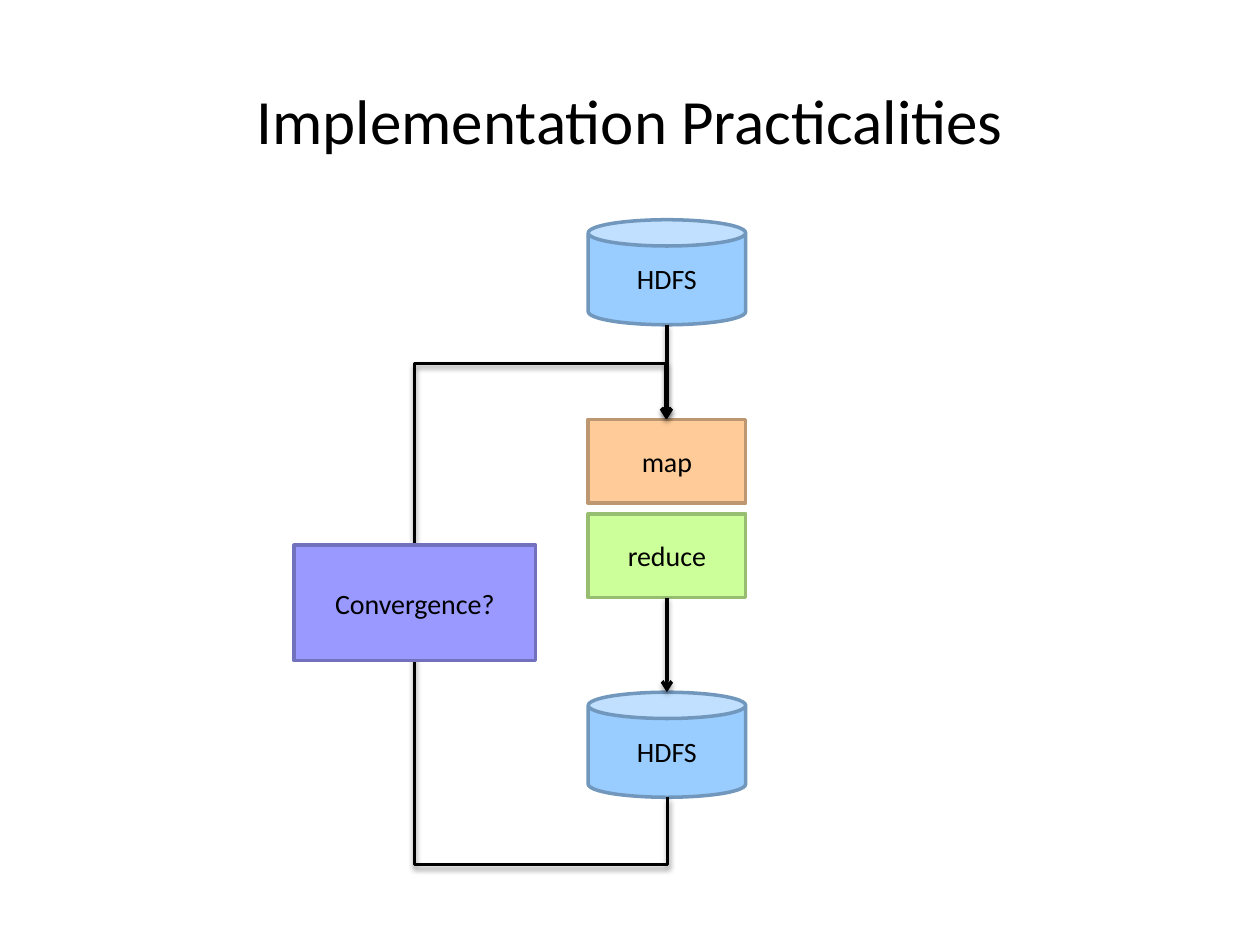
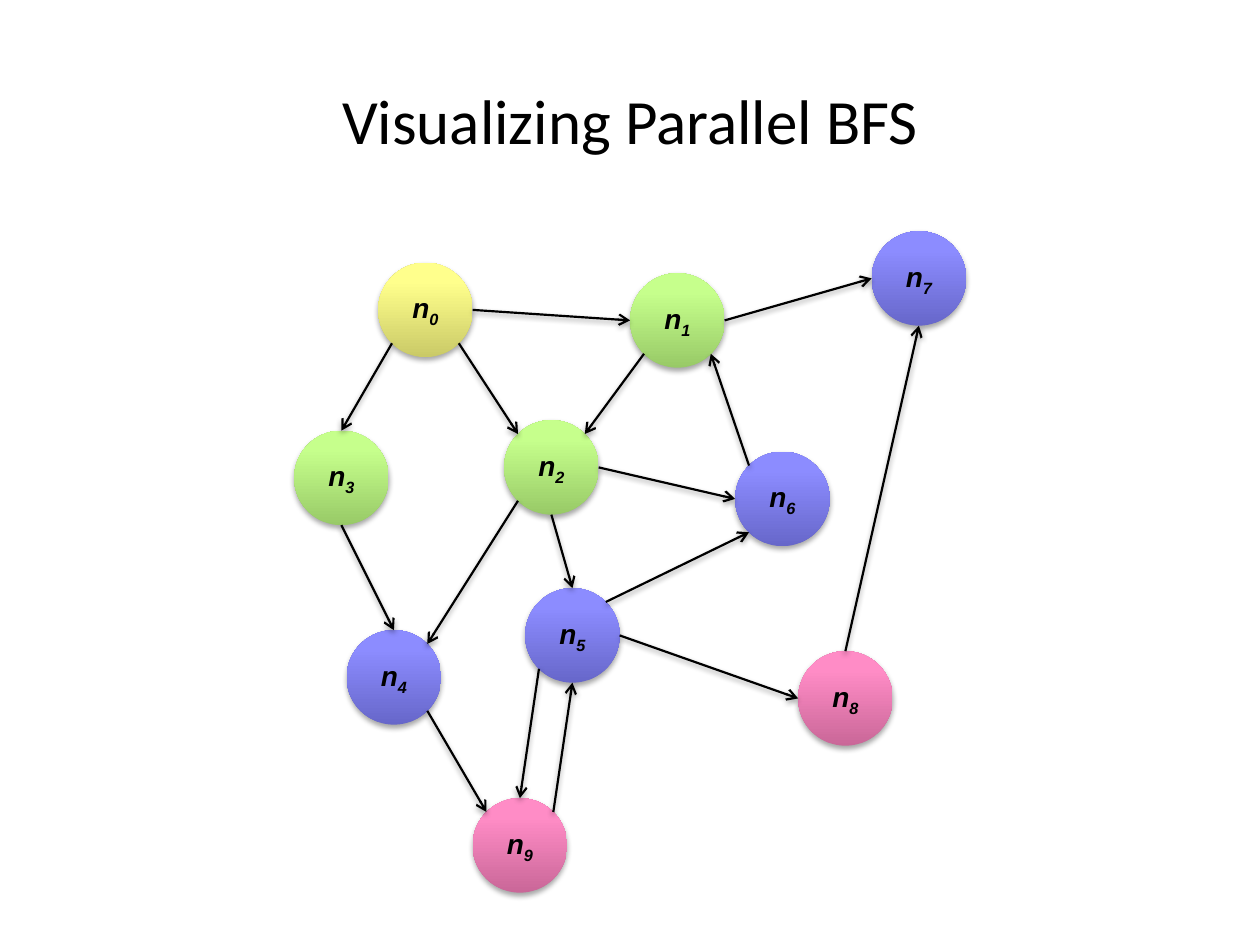
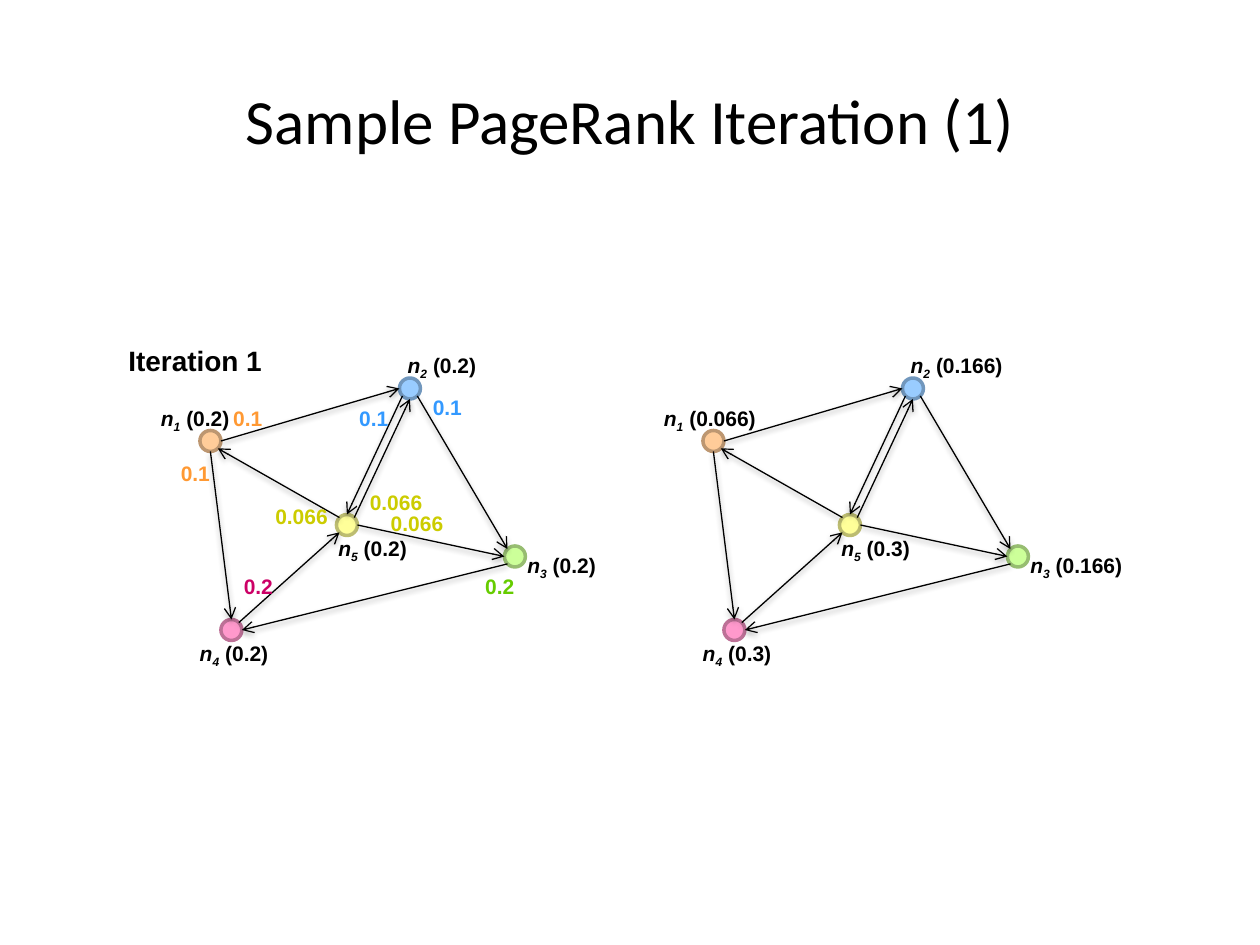
from lxml import etree
from pptx import Presentation
from pptx.dml.color import RGBColor
from pptx.enum.shapes import MSO_CONNECTOR, MSO_SHAPE
from pptx.enum.text import MSO_ANCHOR, MSO_AUTO_SIZE, PP_ALIGN
from pptx.oxml.ns import qn
from pptx.util import Cm, Pt

RECT, CAN, OVAL = MSO_SHAPE.RECTANGLE, MSO_SHAPE.CAN, MSO_SHAPE.OVAL
STRAIGHT, ELBOW = MSO_CONNECTOR.STRAIGHT, MSO_CONNECTOR.ELBOW
LEFT, CENTER = PP_ALIGN.LEFT, PP_ALIGN.CENTER
MIDDLE, GROW = MSO_ANCHOR.MIDDLE, MSO_AUTO_SIZE.SHAPE_TO_FIT_TEXT

GRID = 2.54 / 12
BLACK, BLUE, ORANGE, GREEN = "000000", "99CCFF", "FFCC99", "CCFF99"
PINK, YELLOW, VIOLET = "FF99CC", "FFFF99", "9999FF"
GRADIENTS = {
    YELLOW: ("CACA67", "FFFF8C"),
    GREEN: ("98CA67", "C6FF8C"),
    VIOLET: ("6767CA", "8C8CFF"),
    PINK: ("CA6798", "FF8CC6"),
}
TITLE = {"size": Pt(36), "name": "Calibri"}
BOX = {"size": Pt(16), "name": "Calibri"}
HEADING = {"size": Pt(16), "name": "Arial", "bold": True}
LABEL = {"size": Pt(12), "name": "Arial", "bold": True}
SITES = {
    "N": (0, -1), "S": (0, 1), "W": (-1, 0), "E": (1, 0),
    "NW": (-0.707, -0.707), "NE": (0.707, -0.707),
    "SW": (-0.707, 0.707), "SE": (0.707, 0.707),
}
BFS_NODES = [
    (8, 3, YELLOW), (32, 4, GREEN), (20, 18, GREEN), (0, 19, GREEN),
    (5, 38, VIOLET), (22, 34, VIOLET), (42, 21, VIOLET), (55, 0, VIOLET),
    (48, 40, PINK), (17, 54, PINK),
]
BFS_EDGES = [
    "0 SW 3 N", "0 SE 2 NW", "0 E 1 W", "1 E 7 W", "8 N 7 S", "6 NW 1 SE",
    "1 SW 2 NE", "2 E 6 W", "3 S 4 N", "2 SW 4 NE", "2 S 5 N", "5 NE 6 SW",
    "4 SE 9 NW", "5 SW 9 N", "9 NE 5 S", "5 E 8 W",
]
RANK_NODES = [
    (0, 5, ORANGE), (19, 0, BLUE), (29, 16, GREEN), (2, 23, PINK), (13, 13, YELLOW),
]
RANK_LABELS = [(-4.9, 2), (18.6, -3), (30, 16), (-1.2, 24.4), (12, 14.4)]
RANK_EDGES = [
    "0 E 1 W", "4 NW 0 SE", "0 S 3 N", "3 NE 4 SW", "4 NE 1 S",
    "1 SE 2 NW", "4 E 2 W", "2 SW 3 E", "1 SW 4 N",
]
MASSES = [
    (2, 2, "0.1", "FF9933"), (-3, 7.3, "0.1", "FF9933"),
    (3, 18, "0.2", "CC0066"), (26, 18, "0.2", "66CC00"),
    (14, 2, "0.1", "3399FF"), (21, 1, "0.1", "3399FF"),
    (6, 11.4, "0.066", "CCCC00"), (17, 12, "0.066", "CCCC00"),
    (15, 10, "0.066", "CCCC00"),
]


def rgb(value):
    """Turn a hex string into a colour."""
    return RGBColor.from_string(value)


def darker(value):
    """Return the outline shade of a fill colour."""
    return "".join(f"{round(int(value[i:i + 2], 16) * 0.74):02X}" for i in (0, 2, 4))


def grid(n):
    """Turn grid steps into a length."""
    return Cm(n * GRID)


def write(tf, runs, fmt, color=BLACK, align=CENTER):
    """Write (text, extra format, baseline) runs into the first paragraph."""
    p = tf.paragraphs[0]
    p.alignment = align
    for text, extra, baseline in runs:
        r = p.add_run()
        r.text = text
        for key, value in {**fmt, **extra}.items():
            setattr(r.font, key, value)
        r.font.color.rgb = rgb(color)
        if baseline:
            r._r.get_or_add_rPr().set("baseline", str(baseline))


def node_name(i):
    """Return the runs of an italic n with a subscript number."""
    return [("n", {"italic": True}, 0), (str(i), {"italic": True}, -25000)]


def add_shadow(sp, alpha, dist):
    """Give a shape or connector a soft shadow below it."""
    sp_pr = sp._element.spPr
    effects = sp_pr.find(qn("a:effectLst"))
    if effects is None:
        effects = etree.SubElement(sp_pr, qn("a:effectLst"))
    outer = etree.SubElement(effects, qn("a:outerShdw"), blurRad="40000", dist=str(dist),
                             dir="5400000", rotWithShape="0")
    shade = etree.SubElement(outer, qn("a:srgbClr"), val=BLACK)
    etree.SubElement(shade, qn("a:alpha"), val=str(alpha * 1000))


def add_box(shapes, kind, x, y, w, h, fill, text=None):
    """Add a flat outlined shape, with centred text if given."""
    sp = shapes.add_shape(kind, x, y, w, h)
    sp.shadow.inherit = False
    sp.fill.solid()
    sp.fill.fore_color.rgb = rgb(fill)
    sp.line.color.rgb = rgb(darker(fill))
    sp.line.width = Pt(2)
    if text:
        sp.text_frame.vertical_anchor = MIDDLE
        write(sp.text_frame, [(text, {}, 0)], BOX)
    return sp


def add_ball(shapes, x, y, size, color, runs):
    """Add a shaded round node with its name."""
    sp = shapes.add_shape(OVAL, x, y, size, size)
    sp.shadow.inherit = False
    sp.fill.gradient()
    sp.fill.gradient_angle = 90
    for stop, position, value in zip(sp.fill.gradient_stops, (0, 0.8), GRADIENTS[color]):
        stop.position = position
        stop.color.rgb = rgb(value)
    sp.line.fill.background()
    add_shadow(sp, 35, 23000)
    sp.text_frame.vertical_anchor = MIDDLE
    write(sp.text_frame, runs, HEADING)
    return sp


def add_arrow(shapes, start, end, width, kind=STRAIGHT):
    """Add a black connector with an open arrowhead."""
    cxn = shapes.add_connector(kind, *start, *end)
    cxn.line.color.rgb = rgb(BLACK)
    cxn.line.width = Pt(width)
    etree.SubElement(cxn._element.spPr.find(qn("a:ln")), qn("a:tailEnd"), type="arrow")
    add_shadow(cxn, 38, 20000)
    return cxn


def add_loop(shapes, start, end, left, bottom, top):
    """Add an elbow arrow that leaves downwards, runs up at left and enters from above."""
    mid_x, mid_y = (start[0] + end[0]) // 2, (start[1] + end[1]) // 2
    length, gap = start[1] - end[1], start[0] - end[0]
    cxn = add_arrow(shapes, (mid_x + length // 2, mid_y - gap // 2),
                    (mid_x - length // 2, mid_y + gap // 2), 2, ELBOW)
    sp_pr = cxn._element.spPr
    sp_pr.find(qn("a:xfrm")).set("rot", "5400000")
    geom = sp_pr.find(qn("a:prstGeom"))
    geom.set("prst", "bentConnector5")
    guides = geom.find(qn("a:avLst"))
    if guides is None:
        guides = etree.SubElement(geom, qn("a:avLst"))
    ratios = ((start[1] - bottom) / length, (start[0] - left) / gap, (start[1] - top) / length)
    for i, ratio in enumerate(ratios, 1):
        etree.SubElement(guides, qn("a:gd"), name=f"adj{i}", fmla=f"val {round(ratio * 100000)}")


def site(sp, side):
    """Return the point on a round or square shape at a compass side."""
    dx, dy = SITES[side]
    return (int(sp.left + sp.width * (1 + dx) / 2), int(sp.top + sp.height * (1 + dy) / 2))


def add_edges(shapes, nodes, edges, width):
    """Join nodes by 'from side to side' edges."""
    for edge in edges:
        a, a_side, b, b_side = edge.split()
        add_arrow(shapes, site(nodes[int(a)], a_side), site(nodes[int(b)], b_side), width)


def add_label(shapes, x, y, w, h, runs, fmt=LABEL, color=BLACK):
    """Add a one-line text box that fits its text."""
    tf = shapes.add_textbox(x, y, w, h).text_frame
    tf.word_wrap = False
    tf.auto_size = GROW
    write(tf, runs, fmt, color, LEFT)


def add_slide(prs, title):
    """Add a blank slide with a centred title and return its shapes."""
    shapes = prs.slides.add_slide(prs.slide_layouts[6]).shapes
    tf = shapes.add_textbox(0, Cm(1.52), prs.slide_width, Cm(1.9)).text_frame
    tf.word_wrap = True
    write(tf, [(title, {}, 0)], TITLE)
    return shapes


def draw_job_loop(shapes, x, y):
    """Draw the iterated job from storage to storage with its convergence test."""
    stages = [(CAN, 0, 10, BLUE, "HDFS"), (RECT, 19, 8, ORANGE, "map"),
              (RECT, 28, 8, GREEN, "reduce"), (CAN, 45, 10, BLUE, "HDFS")]
    source, mapper, reducer, sink = [
        add_box(shapes, kind, x + grid(28), y + grid(top), grid(15), grid(h), fill, text)
        for kind, top, h, fill, text in stages]
    for a, b in ((source, mapper), (reducer, sink)):
        add_arrow(shapes, site(a, "S"), site(b, "N"), 2)
    add_loop(shapes, (x + grid(35.58), y + grid(55)), (x + grid(35.42), y + grid(19)),
             x + grid(11.58), y + grid(61.4), y + grid(13.7))
    add_box(shapes, RECT, x, y + grid(31), grid(23), grid(11), VIOLET, "Convergence?")


def draw_bfs(shapes, x, y):
    """Draw the graph whose colours show the search depth."""
    nodes = [add_ball(shapes, x + grid(dx), y + grid(dy), grid(9), color, node_name(i))
             for i, (dx, dy, color) in enumerate(BFS_NODES)]
    add_edges(shapes, nodes, BFS_EDGES, 1.25)


def draw_ranks(shapes, x, y, ranks):
    """Draw the five-page graph with the rank of each page."""
    group = shapes.add_group_shape().shapes
    nodes = [add_box(group, OVAL, x + grid(dx), y + grid(dy), grid(2), grid(2), color)
             for dx, dy, color in RANK_NODES]
    add_edges(group, nodes, RANK_EDGES, 0.75)
    for i, ((dx, dy), rank) in enumerate(zip(RANK_LABELS, ranks), 1):
        add_label(group, x + grid(dx), y + grid(dy), Cm(1.27 + 0.23 * len(rank)), Cm(0.76),
                  node_name(i) + [(f" ({rank})", {}, 0)])


def draw_masses(shapes, x, y):
    """Write the rank mass sent along each edge."""
    for dx, dy, mass, color in MASSES:
        add_label(shapes, x + grid(dx), y + grid(dy), Cm(0.44 + 0.23 * len(mass)), Cm(0.76),
                  [(mass, {}, 0)], color=color)


def main():
    """Build the three slides."""
    prs = Presentation()
    prs.slide_width, prs.slide_height = Cm(25.4), Cm(19.05)
    draw_job_loop(add_slide(prs, "Implementation Practicalities"), Cm(5.93), Cm(4.43))
    draw_bfs(add_slide(prs, "Visualizing Parallel BFS"), Cm(5.93), Cm(4.66))
    shapes = add_slide(prs, "Sample PageRank Iteration (1)")
    left, top = Cm(4.03), Cm(7.62)
    draw_ranks(shapes, left, top, ["0.2"] * 5)
    draw_masses(shapes, left, top)
    draw_ranks(shapes, Cm(14.17), top, ["0.066", "0.166", "0.166", "0.3", "0.3"])
    add_label(shapes, Cm(2.34), Cm(6.81), Cm(3.25), Cm(0.94), [("Iteration 1", {}, 0)], HEADING)
    prs.save("out.pptx")


if __name__ == "__main__":
    main()
